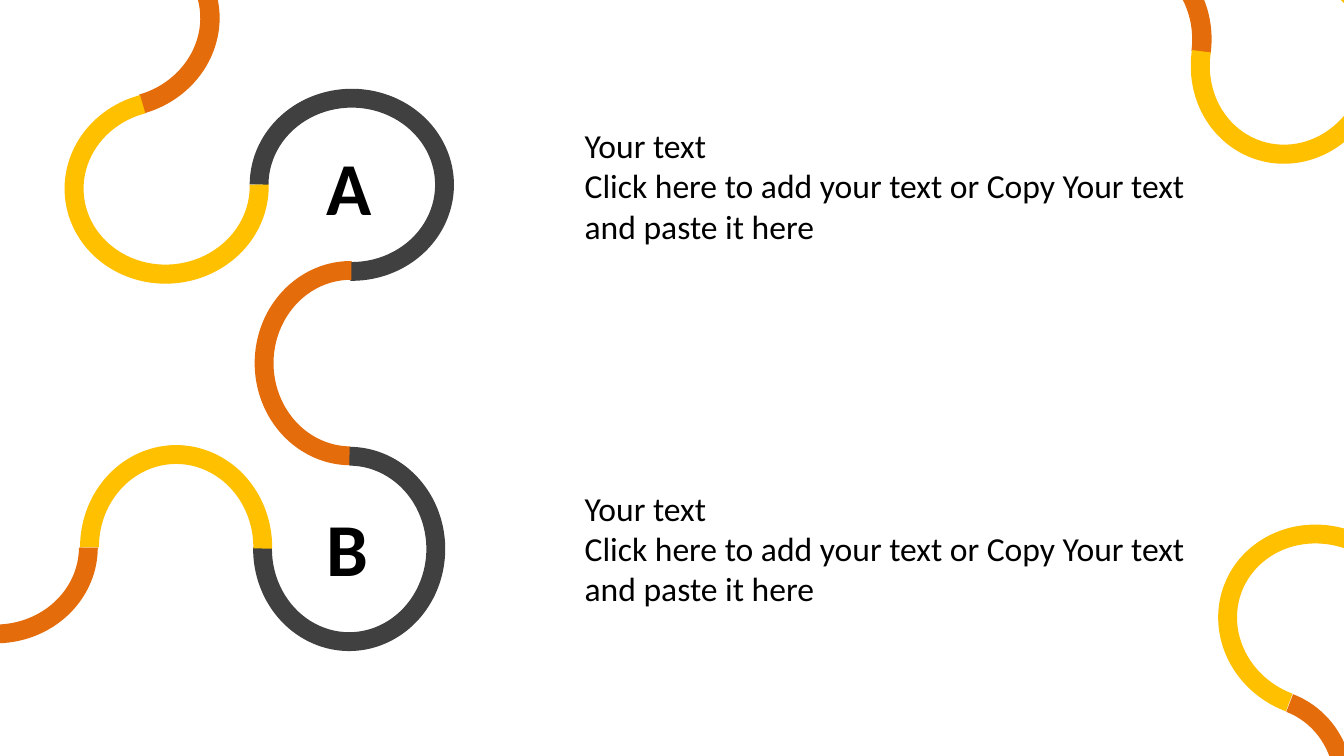
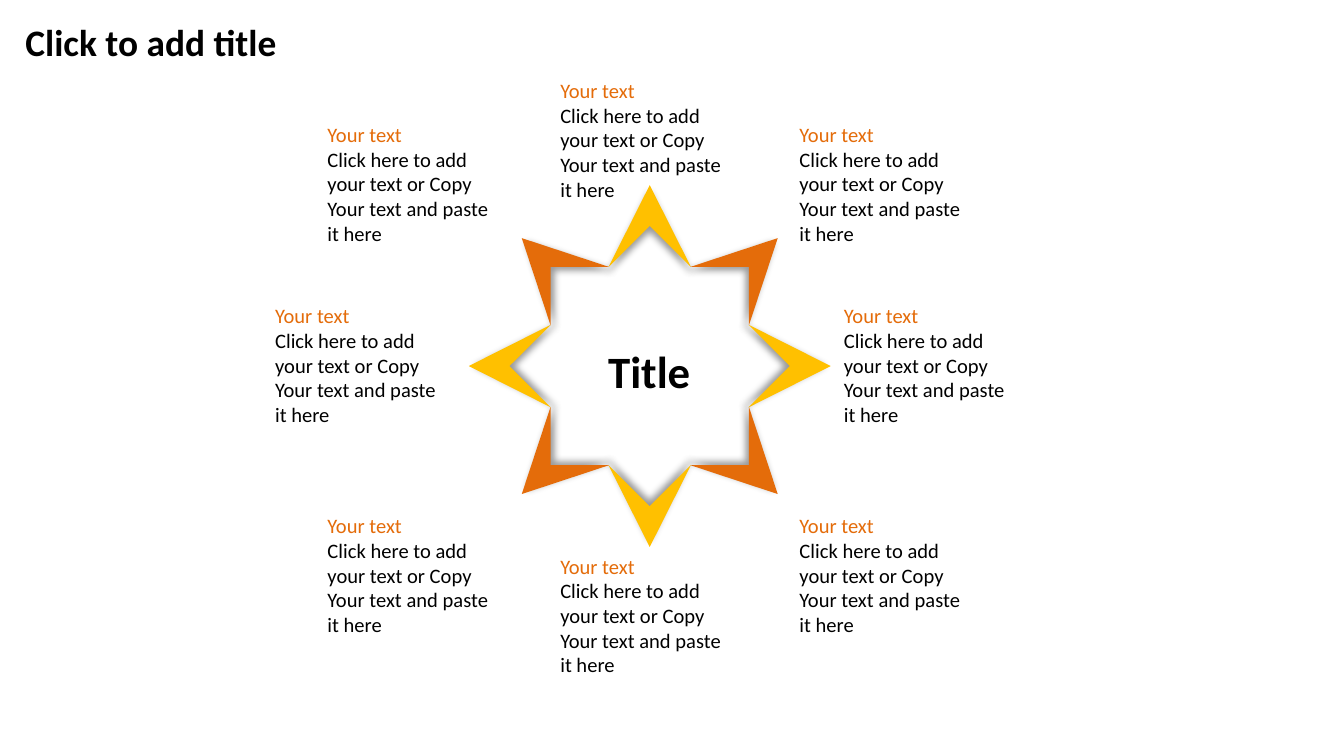
import math
from itertools import product

from lxml import etree
from pptx import Presentation
from pptx import util as u
from pptx.dml.color import RGBColor
from pptx.enum import shapes, text
from pptx.oxml.ns import qn

ORANGE = RGBColor(0xE4, 0x6C, 0x0A)
YELLOW = RGBColor(0xFF, 0xC0, 0x00)
GREY = RGBColor(0x40, 0x40, 0x40)
BLACK = RGBColor(0, 0, 0)
FONT = "Calibri"

ARC_SIZE = (3.86, 3.63)
QUARTER = (270.99, 0.77, 0.101)
LOOP = (100.94, 356.87, 0.099)
THREE_QUARTERS = (89.13, 359.8, 0.098)
HALF = (179.56, 359.8, 0.098)
BOW = (89.13, 270.19, 0.098)
TAIL = (266.94, 359.8, 0.098)

ARCS = [
    (0.3, -1.42, 165, QUARTER, ORANGE),
    (1.22, 1.73, 174.9, LOOP, YELLOW),
    (4.72, 1.68, 0, THREE_QUARTERS, GREY),
    (4.7, 5.05, 270, HALF, ORANGE),
    (4.67, 8.56, 90, THREE_QUARTERS, GREY),
    (1.4, 8.53, 270, BOW, YELLOW),
    (-2.01, 8.53, 180, TAIL, ORANGE),
    (19.15, -1.04, 98.3, QUARTER, ORANGE),
    (22.4, -0.64, 108.2, LOOP, YELLOW),
    (23.01, 9.93, 200.7, BOW, YELLOW),
    (21.82, 13.11, 110.7, TAIL, ORANGE),
]
ITEMS = [("A", 1.37, 2.54, 2.24), ("B", 1.32, 9.37, 9.09)]
ITEM_LINES = ["Your text", "Click here to add your text or Copy Your text", "and paste it here"]

STAR_CENTER = (12.28, 6.92)
RAY = [(0.78, -1.87), (0, -3.42), (-0.78, -1.87), (0, -2.65)]
LABEL_LINES = ["Your text", "Click here to add", "your text or Copy", "Your text and paste", "it here"]
LABEL_SPOTS = [
    *product((4.95, 15.7), (5.61,)),
    *product((10.34,), (1.35, 10.34)),
    *product((5.94, 14.86), (2.18, 9.58)),
]


def paint(sp, color):
    """Fill a shape with a flat colour, without outline or shadow."""
    sp.shadow.inherit = False
    sp.fill.solid()
    sp.fill.fore_color.rgb = color
    sp.line.fill.background()


def add_arc(s, left, top, rotation, arc, color):
    """Add a mirrored block arc given by start angle, end angle and thickness."""
    sp = s.shapes.add_shape(shapes.MSO_SHAPE.BLOCK_ARC, u.Cm(left), u.Cm(top), *map(u.Cm, ARC_SIZE))
    start, end, thickness = arc
    for i, value in enumerate((start * 0.6, end * 0.6, thickness)):
        sp.adjustments[i] = value
    sp.rotation = rotation
    sp._element.spPr.find(qn("a:xfrm")).set("flipH", "1")
    paint(sp, color)


def add_inner_shadow(sp, direction):
    """Cast a soft shadow in a direction given in degrees."""
    effects = sp._element.spPr.find(qn("a:effectLst"))
    shadow = etree.SubElement(effects, qn("a:outerShdw"), blurRad=str(u.Pt(4)), dist=str(u.Pt(3)),
                              dir=str(direction * 60000), algn="ctr", rotWithShape="0")
    color = etree.SubElement(shadow, qn("a:srgbClr"), val=str(BLACK))
    etree.SubElement(color, qn("a:alpha"), val="40000")


def add_ray(s, angle, color):
    """Add one ray of the star, turned clockwise from the top."""
    cos, sin = math.cos(math.radians(angle)), math.sin(math.radians(angle))
    cx, cy = STAR_CENTER
    points = [(u.Cm(cx + x * cos - y * sin), u.Cm(cy + x * sin + y * cos)) for x, y in RAY]
    builder = s.shapes.build_freeform(*points[0])
    builder.add_line_segments(points[1:], close=True)
    sp = builder.convert_to_shape()
    paint(sp, color)
    add_inner_shadow(sp, (90 + angle) % 360)


def add_text(s, box, lines, size, bold=False, wrap=True, align=text.PP_ALIGN.LEFT, lead=BLACK):
    """Add a text box whose first line takes the lead colour."""
    tf = s.shapes.add_textbox(*map(u.Cm, box)).text_frame
    tf.word_wrap = wrap
    tf.auto_size = text.MSO_AUTO_SIZE.SHAPE_TO_FIT_TEXT
    for i, line in enumerate(lines):
        p = tf.add_paragraph() if i else tf.paragraphs[0]
        p.text = line
        p.alignment = align
        p.font.name = FONT
        p.font.size = u.Pt(size)
        p.font.bold = bold
        p.font.color.rgb = BLACK if i else lead


def build_path_slide(s):
    """Draw the winding path with its lettered items."""
    for arc in ARCS:
        add_arc(s, *arc)
    for letter, width, letter_top, text_top in ITEMS:
        add_text(s, (5.92, letter_top, width, 1.96), [letter], 40, bold=True, wrap=False)
        add_text(s, (10.8, text_top, 11.89, 2.57), ITEM_LINES, 18)


def build_star_slide(s):
    """Draw the eight-ray star with its labels and titles."""
    for i in range(8):
        add_ray(s, i * 45, ORANGE if i % 2 else YELLOW)
    for left, top in LABEL_SPOTS:
        add_text(s, (left, top, 3.81, 2.62), LABEL_LINES, 11, lead=ORANGE)
    for title, size, box in (("Click to add title", 20, (0.2, 0.23, 5.31, 1.12)),
                             ("Title", 24, (11.23, 6.38, 2.08, 1.27))):
        add_text(s, box, [title], size, bold=True, wrap=False, align=text.PP_ALIGN.CENTER)


def main():
    """Build and save the presentation."""
    prs = Presentation()
    prs.slide_width, prs.slide_height = u.Cm(25.4), u.Cm(14.29)
    for build in (build_path_slide, build_star_slide):
        build(prs.slides.add_slide(prs.slide_layouts[6]))
    prs.save("out.pptx")


if __name__ == "__main__":
    main()
